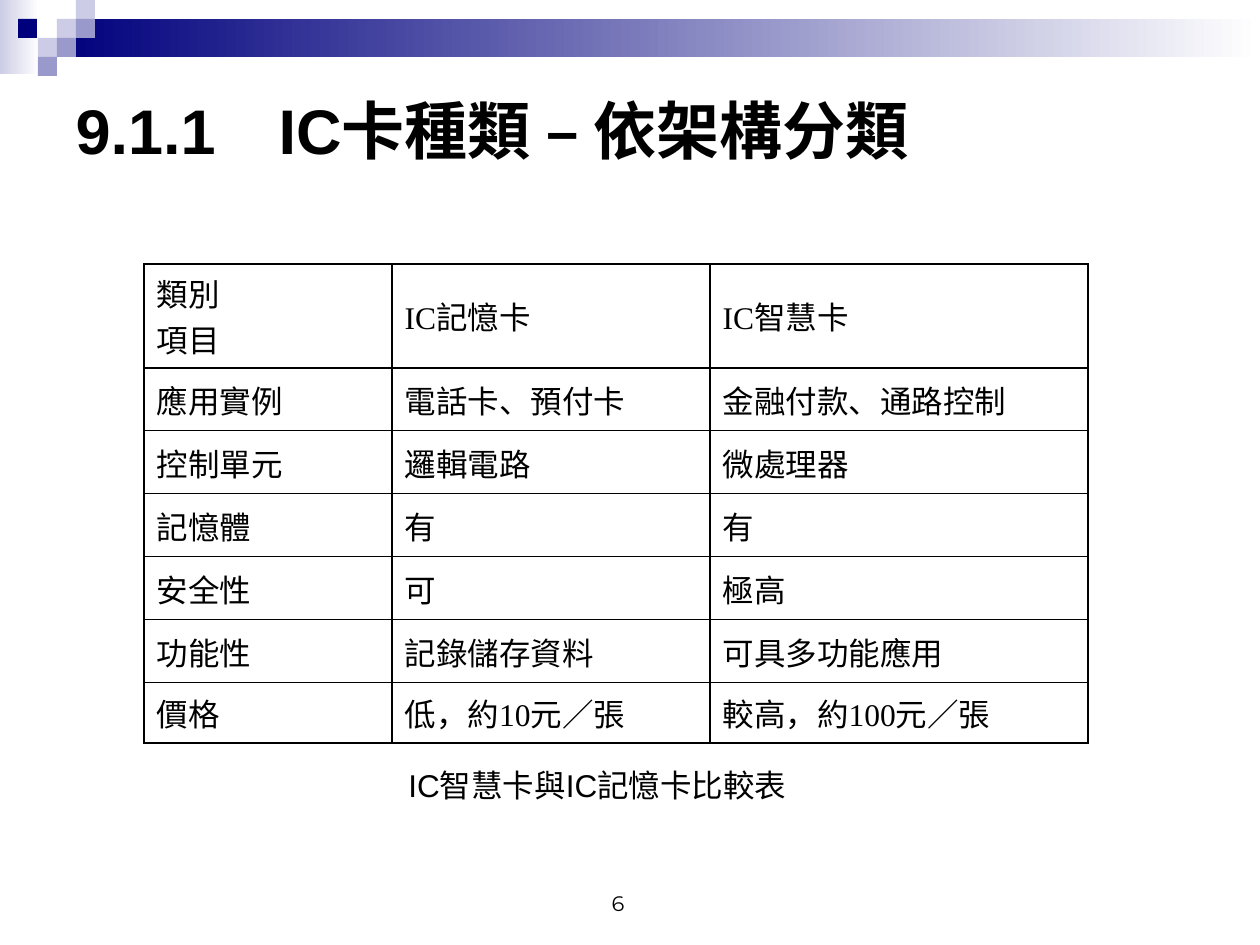
import pptx
import pptx.dml.color
import pptx.enum.shapes
import pptx.enum.text
import pptx.oxml
import pptx.oxml.ns
import pptx.util

COLORS = {"black": "000000", "white": "FFFFFF", "navy": "00007D",
          "lavender": "CCCCE6", "violet": "9999CC"}
SLIDE_SIZE = (1260, 945)
SQUARE = 19
SQUARES = [(57, 19, "lavender"), (76, 0, "lavender"), (76, 19, "violet"),
           (38, 38, "lavender"), (18, 19, "navy"), (57, 38, "violet"),
           (38, 57, "violet")]
THICK, THIN = 0.96, 0.45
COLUMN_WIDTHS = [248, 318, 378]
ROW_HEIGHTS = [101] + [63] * 5 + [60]
CARD_ROWS = [
    ("類別\n項目", "IC記憶卡", "IC智慧卡"),
    ("應用實例", "電話卡、預付卡", "金融付款、通路控制"),
    ("控制單元", "邏輯電路", "微處理器"),
    ("記憶體", "有", "有"),
    ("安全性", "可", "極高"),
    ("功能性", "記錄儲存資料", "可具多功能應用"),
    ("價格", "低，約10元／張", "較高，約100元／張"),
]
ALIGN = pptx.enum.text.PP_ALIGN
ANCHOR = pptx.enum.text.MSO_ANCHOR


def px(length):
    return round(length * 914400 / 126)


def rgb(name):
    return pptx.dml.color.RGBColor.from_string(COLORS[name])


def write(frame, text, font="Arial", size=18, bold=False, align=ALIGN.LEFT, hanging=0):
    """Fill a text frame, one paragraph for each line of text."""
    frame.text = text
    for paragraph in frame.paragraphs:
        paragraph.alignment = align
        if hanging:
            properties = paragraph._p.get_or_add_pPr()
            properties.set("marL", str(px(hanging)))
            properties.set("indent", str(-px(hanging)))
        for run in paragraph.runs:
            run.font.name = font
            run.font.size = pptx.util.Pt(size)
            run.font.bold = bold
            run.font.color.rgb = rgb("black")


class SlideBuilder:
    def __init__(self, presentation):
        self.slide = presentation.slides.add_slide(presentation.slide_layouts[5])

    def title(self, text, *box):
        shape = self.slide.shapes.title
        shape.left, shape.top, shape.width, shape.height = map(px, box)
        frame = shape.text_frame
        frame.auto_size = pptx.enum.text.MSO_AUTO_SIZE.NONE
        frame.vertical_anchor = ANCHOR.MIDDLE
        write(frame, text, size=36, bold=True)

    def rectangle(self, *box, color, fade=False):
        """Draw a plain rectangle, or one that fades to white on the right."""
        shape = self.slide.shapes.add_shape(
            pptx.enum.shapes.MSO_SHAPE.RECTANGLE, *map(px, box))
        shape.shadow.inherit = False
        shape.line.fill.background()
        if fade:
            shape.fill.gradient()
            shape.fill.gradient_angle = 180
            for stop, name in zip(shape.fill.gradient_stops, ("white", color)):
                stop.color.rgb = rgb(name)
        else:
            shape.fill.solid()
            shape.fill.fore_color.rgb = rgb(color)

    def text(self, text, *box, anchor=ANCHOR.TOP, wrap=True, **style):
        frame = self.slide.shapes.add_textbox(*map(px, box)).text_frame
        frame.word_wrap = wrap
        frame.vertical_anchor = anchor
        write(frame, text, **style)

    def table(self, left, top, rows, widths, heights):
        table = self.slide.shapes.add_table(
            len(rows), len(widths), px(left), px(top),
            px(sum(widths)), px(sum(heights))).table
        table.first_row = table.horz_banding = False
        for column, width in zip(table.columns, widths):
            column.width = px(width)
        for index, (row, height) in enumerate(zip(table.rows, heights)):
            row.height = px(height)
            above = THICK if index < 2 else THIN
            below = THICK if index in (0, len(rows) - 1) else THIN
            for cell, text in zip(row.cells, rows[index]):
                cell.vertical_anchor = ANCHOR.MIDDLE
                self.cell_borders(cell, L=THICK, R=THICK, T=above, B=below)
                cell.fill.background()
                write(cell.text_frame, text, font="Times New Roman", hanging=48)

    def cell_borders(self, cell, **widths):
        properties = cell._tc.get_or_add_tcPr()
        for side, width in widths.items():
            properties.append(pptx.oxml.parse_xml(
                f'<a:ln{side} {pptx.oxml.ns.nsdecls("a")} w="{pptx.util.Pt(width)}">'
                f'<a:solidFill><a:srgbClr val="{COLORS["black"]}"/></a:solidFill>'
                f'</a:ln{side}>'))


def main():
    presentation = pptx.Presentation()
    presentation.slide_width, presentation.slide_height = map(px, SLIDE_SIZE)
    builder = SlideBuilder(presentation)
    builder.rectangle(0, 0, 39, 74, color="lavender", fade=True)
    builder.rectangle(57, 19, 1203, 38, color="navy", fade=True)
    for left, top, color in SQUARES:
        builder.rectangle(left, top, SQUARE, SQUARE, color=color)
    builder.title("9.1.1　IC卡種類 – 依架構分類", 63, 63, 1134, 132)
    builder.table(144, 264, CARD_ROWS, COLUMN_WIDTHS, ROW_HEIGHTS)
    builder.text("IC智慧卡與IC記憶卡比較表", 396, 760, 433, 50, wrap=False)
    builder.text("6", 471, 859, 294, 63, anchor=ANCHOR.BOTTOM,
                 font="Montserrat", size=12, align=ALIGN.CENTER)
    presentation.save("out.pptx")


if __name__ == "__main__":
    main()
